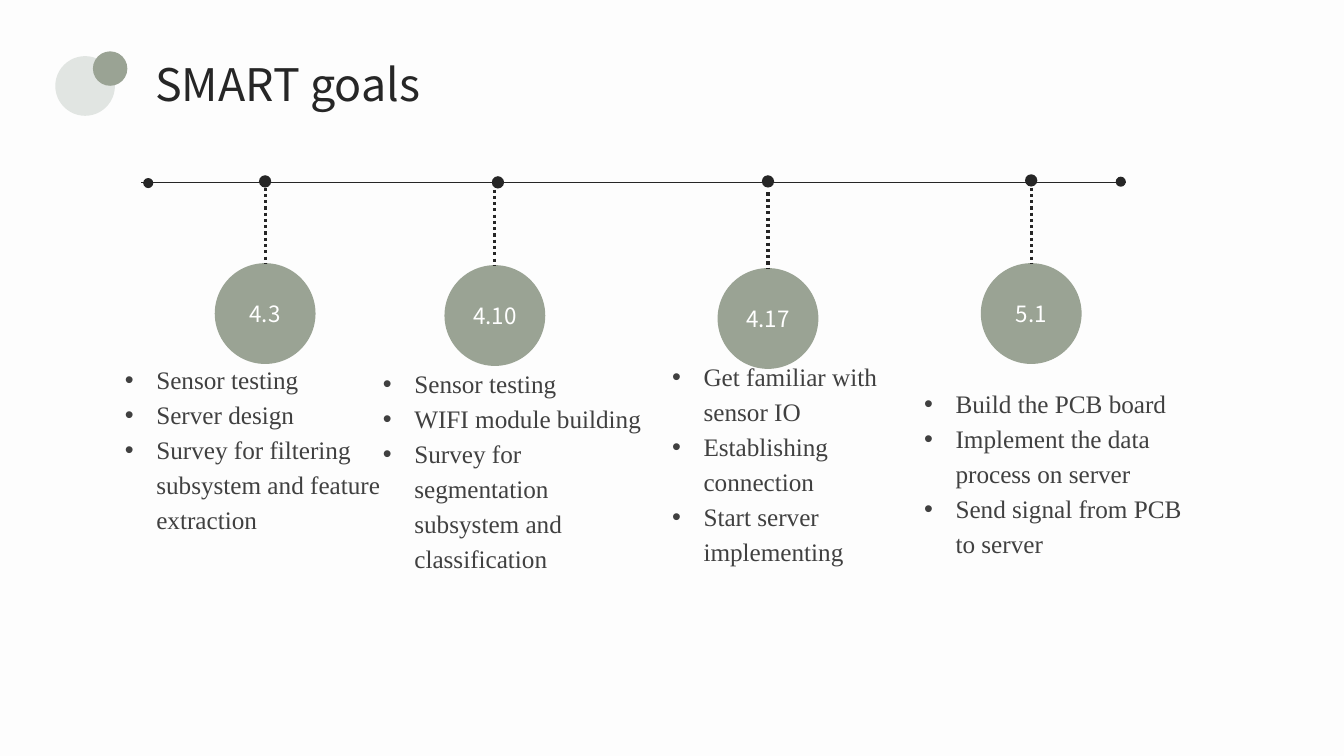
"""Build the SMART goals timeline slide."""
from lxml import etree
from pptx import Presentation
from pptx import util as u
from pptx.dml.color import RGBColor
from pptx.enum import dml, shapes, text
from pptx.oxml import ns

INK = RGBColor(0x26, 0x26, 0x26)
BODY = RGBColor(0x40, 0x40, 0x40)
SAGE = RGBColor(0x9A, 0xA3, 0x94)
MIST = RGBColor(0xE1, 0xE5, 0xE2)
PAPER = RGBColor(0xFD, 0xFD, 0xFD)
WHITE = RGBColor(0xFF, 0xFF, 0xFF)
SANS = "Noto Sans CJK SC"
SERIF = "Times New Roman"

AXIS_Y = 130.3
DOT = 8.8
END_DOT = 7.2
BUBBLE = 72
STEM = 54
LINE = 25
INDENT = 22.5
LIST_WIDTH = 206.6

MILESTONES = [
    ("4.3", 189.4, 189.4, 129.6, 188, 82.1, 257,
     ["Sensor testing", "Server design",
      "Survey for filtering subsystem and feature extraction"], 5),
    ("4.10", 353.5, 355.7, 130.3, 189.4, 266.4, 259.6,
     ["Sensor testing", "WIFI module building",
      "Survey for segmentation subsystem and classification"], 6),
    ("4.17", 548.6, 548.6, 129.6, 191.5, 473, 254.6,
     ["Get familiar with sensor IO", "Establishing connection",
      "Start server implementing"], 6),
    ("5.1", 736.6, 736.6, 128.9, 188, 653, 274,
     ["Build the PCB board", "Implement the data process on server",
      "Send signal from PCB to server"], 5),
]


def write(p, content, font=SANS, size=16, color=INK, align=text.PP_ALIGN.LEFT):
    """Add one formatted run to a paragraph."""
    p.alignment = align
    r = p.add_run()
    r.text = content
    r.font.name, r.font.size = font, u.Pt(size)
    r.font.color.rgb = color


class Deck:
    """Hold the presentation style and the current slide."""

    def __init__(self):
        """Start a wide deck with one title-only slide."""
        self.prs = Presentation()
        self.prs.slide_width, self.prs.slide_height = u.Pt(960), u.Pt(540)
        self.s = self.prs.slides.add_slide(self.prs.slide_layouts[5])
        self.s.background.fill.solid()
        self.s.background.fill.fore_color.rgb = PAPER

    def title(self, content, x, y, w, h):
        """Place and format the title placeholder."""
        sp = self.s.shapes.title
        sp.left, sp.top, sp.width, sp.height = map(u.Pt, (x, y, w, h))
        tf = sp.text_frame
        tf.word_wrap = False
        tf.auto_size = text.MSO_AUTO_SIZE.NONE
        tf.vertical_anchor = text.MSO_ANCHOR.MIDDLE
        write(tf.paragraphs[0], content, size=32)

    def circle(self, cx, cy, d, color, label=None):
        """Draw a filled circle around a centre, with an optional label."""
        sp = self.s.shapes.add_shape(
            shapes.MSO_SHAPE.OVAL, *map(u.Pt, (cx - d / 2, cy - d / 2, d, d)))
        sp.shadow.inherit = False
        sp.fill.solid()
        sp.fill.fore_color.rgb = color
        sp.line.fill.background()
        if label:
            tf = sp.text_frame
            tf.vertical_anchor = text.MSO_ANCHOR.MIDDLE
            write(tf.paragraphs[0], label, color=WHITE, align=text.PP_ALIGN.CENTER)
        return sp

    def line(self, x1, y1, x2, y2, width, dash=None, end=None):
        """Draw a straight line, joined to the top of a shape if given."""
        c = self.s.shapes.add_connector(
            shapes.MSO_CONNECTOR.STRAIGHT, *map(u.Pt, (x1, y1, x2, y2)))
        c.line.color.rgb = INK
        c.line.width = u.Pt(width)
        if dash:
            c.line.dash_style = dash
        etree.SubElement(c._element.spPr, ns.qn("a:effectLst"))
        if end is not None:
            c.end_connect(end, 0)

    def bullets(self, items, x, y, w, h):
        """Write a bulleted list in a text box."""
        sp = self.s.shapes.add_textbox(*map(u.Pt, (x, y, w, h)))
        tf = sp.text_frame
        tf.word_wrap = True
        tf.margin_top = tf.margin_bottom = 0
        for i, item in enumerate(items):
            p = tf.add_paragraph() if i else tf.paragraphs[0]
            p.line_spacing = u.Pt(LINE)
            write(p, item, font=SERIF, size=18, color=BODY)
            pPr = p._p.get_or_add_pPr()
            pPr.set("marL", str(u.Pt(INDENT)))
            pPr.set("indent", str(-u.Pt(INDENT)))
            etree.SubElement(pPr, ns.qn("a:buFont")).set("typeface", "Arial")
            etree.SubElement(pPr, ns.qn("a:buChar")).set("char", "•")


def main():
    """Compose and save the slide."""
    deck = Deck()
    deck.title("SMART goals", 103.7, 36.7, 218, 46)
    deck.circle(60.8, 61.4, 42.6, MIST)
    deck.circle(78.7, 49, 24.6, SAGE)
    deck.line(100.8, AXIS_Y, 804.2, AXIS_Y, 1)
    for x, y in ((105.9, 130.8), (800.6, 129.8)):
        deck.circle(x, y, END_DOT, INK)
    for date, x, dot_x, dot_y, top, left, list_y, goals, rows in MILESTONES:
        deck.circle(dot_x, dot_y, DOT, INK)
        bubble = deck.circle(x, top + BUBBLE / 2, BUBBLE, SAGE, date)
        deck.line(x, top - STEM, x, top, 2.25, dml.MSO_LINE.ROUND_DOT, bubble)
        deck.bullets(goals, left, list_y, LIST_WIDTH, rows * LINE)
    deck.prs.save("out.pptx")


if __name__ == "__main__":
    main()
